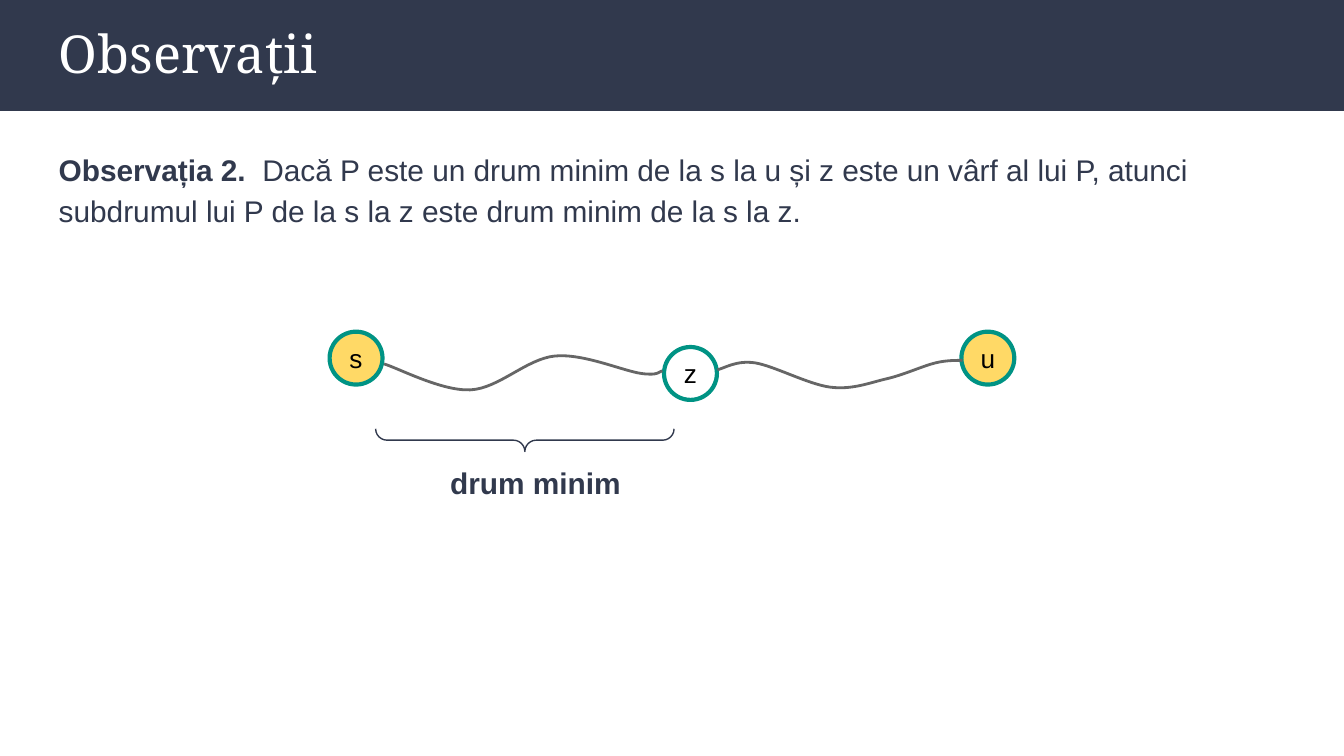
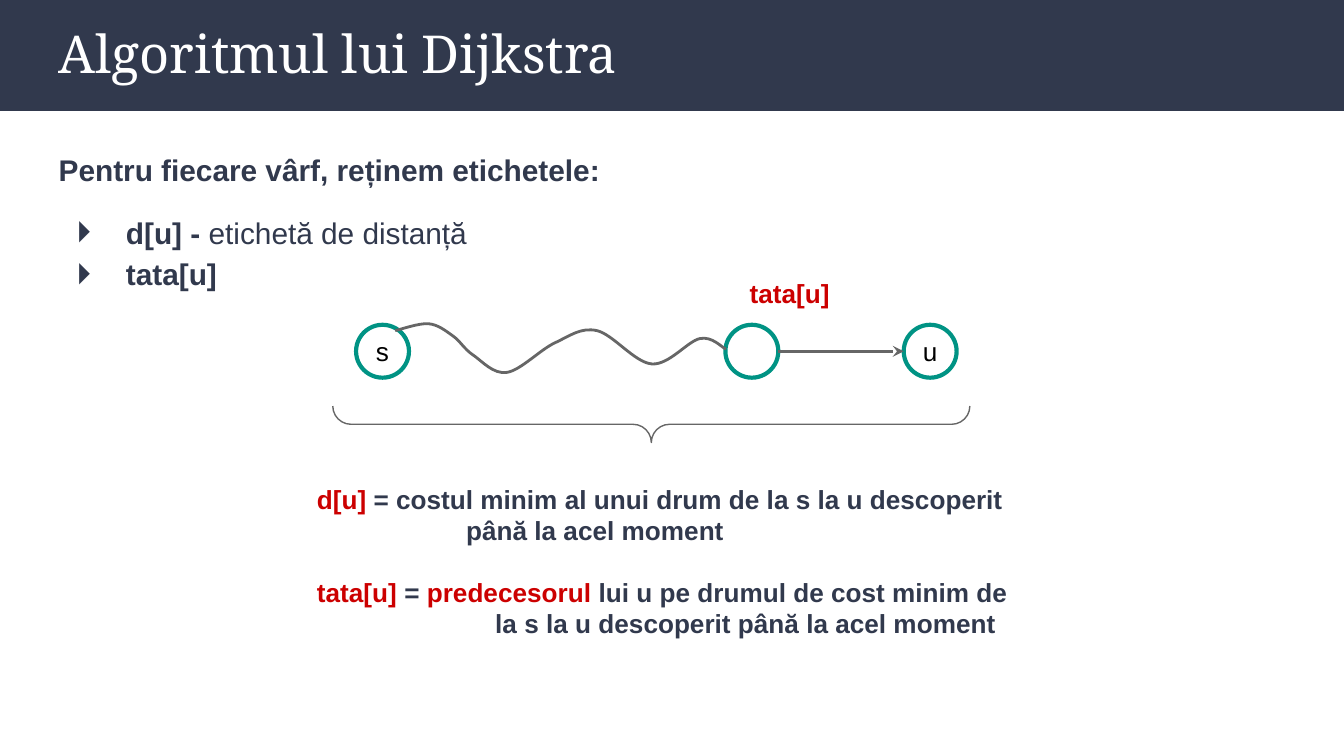
from dataclasses import dataclass

from lxml.etree import SubElement
from pptx import Presentation
from pptx.dml.color import RGBColor
from pptx.enum.shapes import MSO_CONNECTOR, MSO_SHAPE
from pptx.enum.text import MSO_ANCHOR, MSO_AUTO_SIZE, PP_ALIGN
from pptx.oxml.ns import qn
from pptx.util import Cm, Pt


@dataclass(frozen=True)
class Theme:
    navy: str = "31394D"
    white: str = "FFFFFF"
    black: str = "000000"
    teal: str = "009384"
    gold: str = "FFD966"
    gray: str = "666666"
    red: str = "CC0000"
    serif: str = "Noto Serif"
    sans: str = "Arial"
    title: int = 28
    body: int = 16
    label: int = 14


THEME = Theme()
NODE = 1.0  # circle diameter, cm


def rgb(code):
    return RGBColor.from_string(code)


# Text
def write(frame, *runs, size=THEME.body, font=THEME.sans, color=THEME.navy,
          bold=False, align=PP_ALIGN.LEFT, lead=None, before=0, after=0,
          left=0, hang=0, bullet=None):
    """Add a paragraph; a run is a text or a (text, overrides) pair."""
    first = frame.paragraphs[0]
    par = frame.add_paragraph() if first.runs else first
    par.alignment = align
    par.space_before, par.space_after = Pt(before), Pt(after)
    if lead:
        par.line_spacing = lead
    props = par._p.get_or_add_pPr()
    props.set("marL", str(Cm(left)))
    props.set("indent", str(-Cm(hang)))
    if bullet:
        tint = SubElement(props, qn("a:buClr"))
        SubElement(tint, qn("a:srgbClr"), val=color)
        SubElement(props, qn("a:buFont"), typeface=font)
        SubElement(props, qn("a:buChar"), char=bullet)
    else:
        SubElement(props, qn("a:buNone"))
    for item in runs:
        text, own = (item, {}) if isinstance(item, str) else item
        for row, part in enumerate(text.split("\n")):
            if row:
                par.add_line_break()
            run = par.add_run()
            run.text = part
            run.font.name, run.font.size = font, Pt(size)
            run.font.bold = own.get("bold", bold)
            run.font.color.rgb = rgb(own.get("color", color))


def setup(frame, inset=0.25, anchor=MSO_ANCHOR.TOP, fit=MSO_AUTO_SIZE.NONE):
    frame.word_wrap = True
    frame.auto_size = fit
    frame.vertical_anchor = anchor
    frame.margin_left = frame.margin_right = Cm(inset)
    frame.margin_top = frame.margin_bottom = Cm(inset)
    return frame


def place(shape, x, y, wide, high):
    shape.left, shape.top = Cm(x), Cm(y)
    shape.width, shape.height = Cm(wide), Cm(high)


def box(slide, x, y, wide, high):
    shape = slide.shapes.add_textbox(Cm(x), Cm(y), Cm(wide), Cm(high))
    return setup(shape.text_frame, fit=MSO_AUTO_SIZE.SHAPE_TO_FIT_TEXT)


# Shapes
def style(shape, fill=None, line=None, width=1.0):
    shape.shadow.inherit = False
    if fill:
        shape.fill.solid()
        shape.fill.fore_color.rgb = rgb(fill)
    else:
        shape.fill.background()
    if line:
        shape.line.color.rgb = rgb(line)
        shape.line.width = Pt(width)
    else:
        shape.line.fill.background()


def node(shapes, x, y, name="", fill=None):
    shape = shapes.add_shape(MSO_SHAPE.OVAL, Cm(x), Cm(y), Cm(NODE), Cm(NODE))
    style(shape, fill, THEME.teal, 2.25)
    frame = setup(shape.text_frame, 0.05, MSO_ANCHOR.MIDDLE)
    if name:
        write(frame, name, size=THEME.label, color=THEME.black,
              align=PP_ALIGN.CENTER)


def curve(shapes, knots):
    """Draw a smooth cubic curve through the knots."""
    ends = [knots[0], *knots, knots[-1]]
    points = []
    for prev, start, stop, after in zip(ends, ends[1:], ends[2:], ends[3:]):
        points.append([b + (c - a) / 6 for a, b, c in zip(prev, start, stop)])
        points.append([c - (d - b) / 6 for b, c, d in zip(start, stop, after)])
        points.append(stop)
    pen = shapes.build_freeform(*map(Cm, knots[0]))
    pen.add_line_segments([(Cm(x), Cm(y)) for x, y in points], close=False)
    shape = pen.convert_to_shape()
    style(shape, line=THEME.gray, width=1.5)
    # Each three straight segments hold the points of one cubic segment
    trace = shape.element.find(".//" + qn("a:path"))
    lines = trace.findall(qn("a:lnTo"))
    for i in range(0, len(lines), 3):
        cubic = SubElement(trace, qn("a:cubicBezTo"))
        for line in lines[i:i + 3]:
            cubic.append(line[0])
            trace.remove(line)


def brace(slide, mid, y, span, depth, color):
    """Draw a brace that points down, centred on (mid, y)."""
    shape = slide.shapes.add_shape(
        MSO_SHAPE.LEFT_BRACE, Cm(mid - depth / 2), Cm(y - span / 2),
        Cm(depth), Cm(span))
    shape.rotation = 270
    shape.adjustments[0] = shape.adjustments[1] = 0.5
    style(shape, line=color, width=0.75)


def arrow(slide, x, y, end):
    link = slide.shapes.add_connector(
        MSO_CONNECTOR.STRAIGHT, Cm(x), Cm(y), Cm(end), Cm(y))
    link.line.color.rgb = rgb(THEME.gray)
    link.line.width = Pt(1.5)
    props = link.element.spPr
    SubElement(props.find(qn("a:ln")), qn("a:tailEnd"), type="stealth")
    SubElement(props, qn("a:effectLst"))


# Shared slide parts
def band(deck, slide, layout):
    """Put the title band behind everything on the layout."""
    shape = slide.shapes.add_shape(
        MSO_SHAPE.RECTANGLE, 0, 0, deck.slide_width, Cm(2.1))
    style(shape, THEME.navy)
    shape.element.nvSpPr.cNvPr.set("id", "20")
    layout.shapes.element.insert(2, shape.element)


def start(deck, layout, title):
    slide = deck.slides.add_slide(layout)
    head, body = slide.placeholders
    place(head, 0.86, 0.16, 23.67, 1.73)
    place(body, 0.86, 2.51, 23.67, 10.44)
    write(setup(head.text_frame), title, size=THEME.title, font=THEME.serif,
          color=THEME.white)
    return slide, setup(body.text_frame)


# Slides
def remark(deck, layout):
    slide, body = start(deck, layout, "Observații")
    band(deck, slide, layout)
    write(body, ("Observația 2.  ", {"bold": True}),
          "Dacă P este un drum minim de la s la u și z este un vârf al lui P, "
          "atunci subdrumul lui P de la s la z este drum minim de la s la z.",
          lead=1.15, after=12)

    # Road from s to u through z
    road = slide.shapes.add_group_shape().shapes
    node(road, 6.23, 6.27, "s", THEME.gold)
    node(road, 12.55, 6.56, "z")
    node(road, 18.17, 6.27, "u", THEME.gold)
    curve(road, [(7.26, 6.88), (8.89, 7.37), (10.49, 6.73), (12.12, 7.06),
                 (12.52, 7.01)])
    curve(road, [(13.56, 6.99), (14.27, 6.86), (15.7, 7.32), (16.76, 7.16),
                 (17.68, 6.86), (18.19, 6.81)])

    brace(slide, 9.92, 8.32, 5.64, 0.43, THEME.navy)
    write(box(slide, 8.26, 8.53, 4.45, 1.19), "drum minim", bold=True)


def labels(deck, layout):
    slide, body = start(deck, layout, "Algoritmul lui Dijkstra")
    write(body, "Pentru fiecare vârf, reținem etichetele:", bold=True,
          lead=1.15)
    item = dict(bold=True, lead=1.15, left=1.27, hang=0.94, bullet="⏵")
    write(body, "d[u] - ", ("etichetă de distanță", {"bold": False}),
          before=12, **item)
    write(body, "tata[u]", **item)

    # Road from s to u
    top = 6.14
    node(slide.shapes, 6.73, top, "s")
    node(slide.shapes, 13.71, top)
    node(slide.shapes, 17.08, top, "u")
    arrow(slide, 13.71 + NODE, top + NODE / 2, 17.08)
    curve(slide.shapes, [
        (7.47, 6.25), (8.1, 6.12), (8.56, 6.35), (8.94, 6.71), (9.58, 7.04),
        (10.49, 6.48), (11.28, 6.25), (12.32, 6.88), (13.23, 6.4),
        (13.72, 6.6)])
    note = dict(size=THEME.label, bold=True)
    write(box(slide, 13.92, 5, 2.16, 1.12), "tata[u]", color=THEME.red, **note)
    brace(slide, 12.31, 8.02, 12.04, 0.69, THEME.gray)

    # Meaning of the two labels
    red = {"color": THEME.red}
    frame = box(slide, 5.74, 8.89, 13.94, 3.51)
    write(frame, ("d[u]", red),
          " = costul minim al unui drum de la s la u descoperit\n"
          "până la acel moment", left=2.82, hang=2.82, **note)
    write(frame, ("tata[u] ", red), "=", (" predecesorul", red),
          " lui u pe drumul de cost minim de\n"
          "la s la u descoperit până la acel moment",
          left=3.37, hang=3.37, before=16, **note)


def main():
    deck = Presentation()
    deck.slide_width, deck.slide_height = Cm(25.4), Cm(14.29)
    layout = deck.slide_layouts[1]
    remark(deck, layout)
    labels(deck, layout)
    deck.save("out.pptx")


if __name__ == "__main__":
    main()
